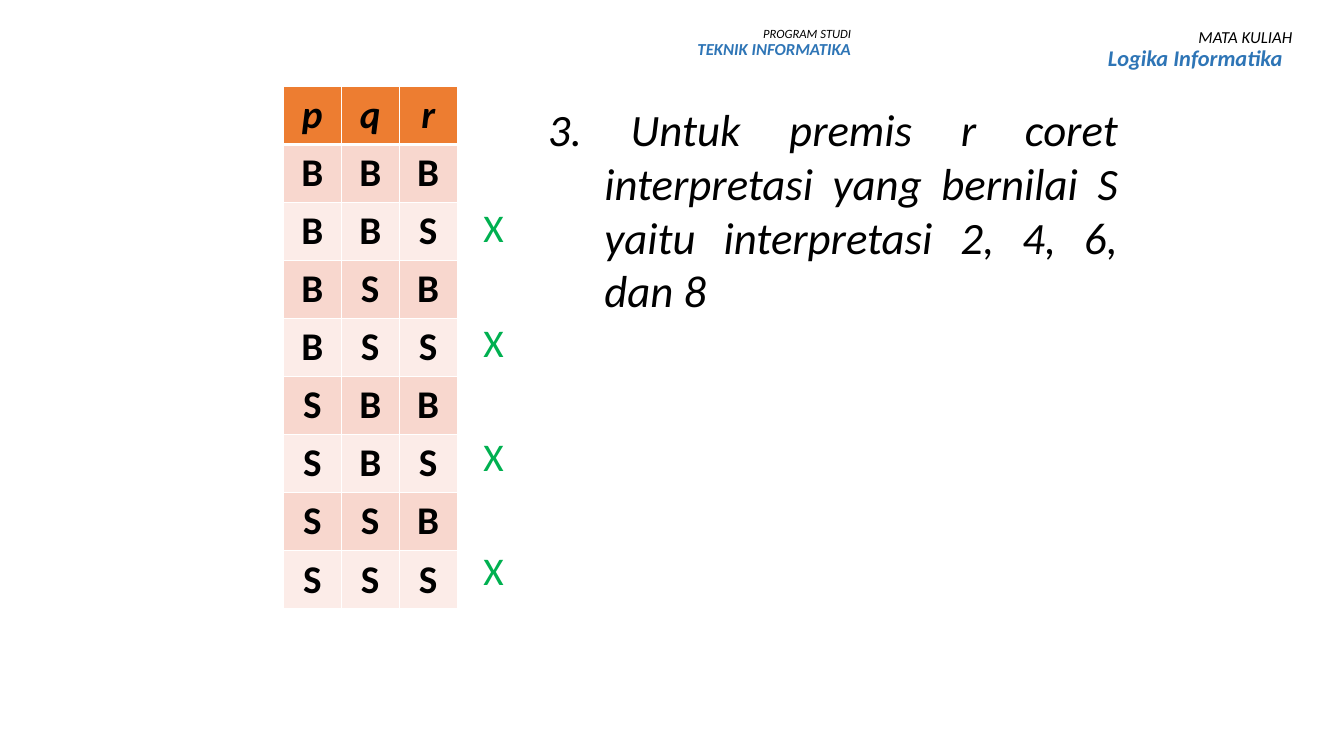
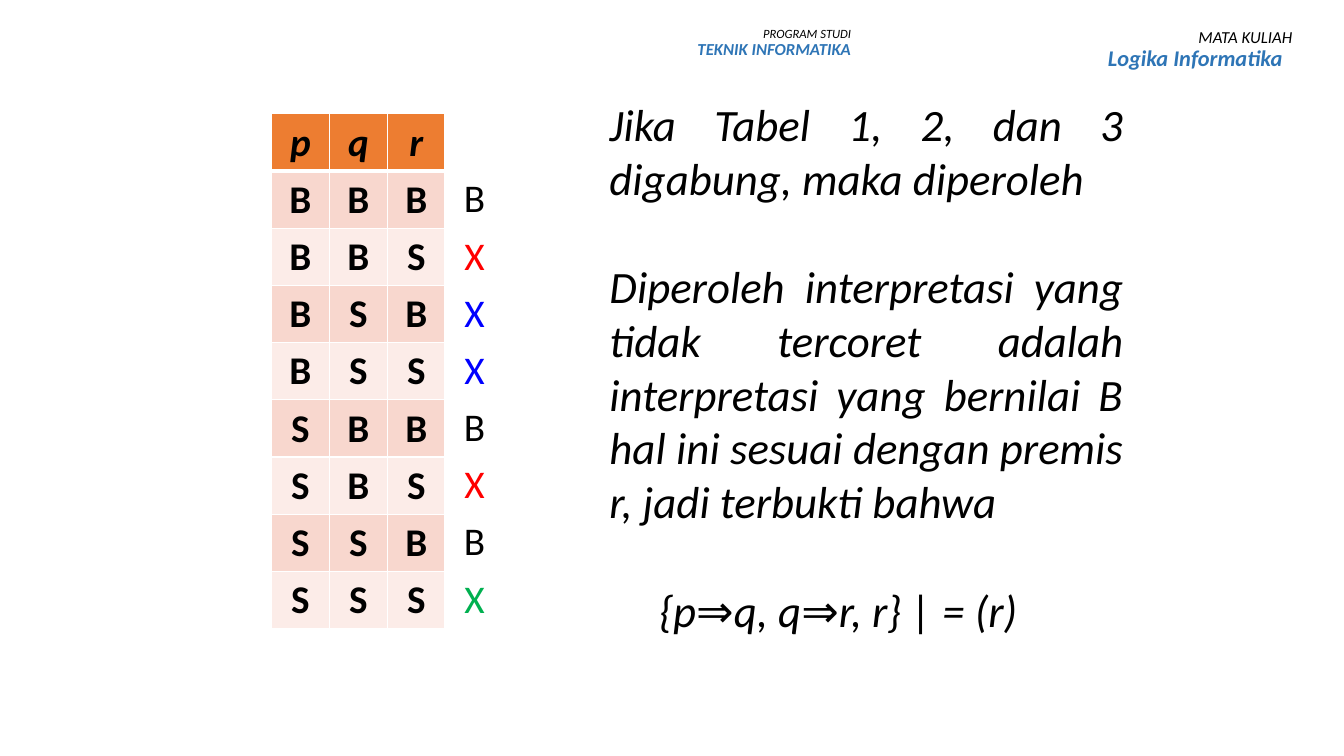
from dataclasses import dataclass
from itertools import product

from lxml import etree
from pptx import Presentation
from pptx.dml.color import RGBColor
from pptx.enum.text import MSO_ANCHOR, MSO_AUTO_SIZE, PP_ALIGN
from pptx.oxml.ns import qn
from pptx.util import Cm, Pt

LEFT, CENTER, RIGHT, JUSTIFY = PP_ALIGN.LEFT, PP_ALIGN.CENTER, PP_ALIGN.RIGHT, PP_ALIGN.JUSTIFY
MIDDLE = MSO_ANCHOR.MIDDLE
GROW, FIXED = MSO_AUTO_SIZE.SHAPE_TO_FIT_TEXT, MSO_AUTO_SIZE.NONE


@dataclass(frozen=True)
class Theme:
    font: str = "Calibri"
    text: str = "000000"
    accent: str = "2E75B6"
    header: str = "ED7D31"
    bands: tuple[str, str] = ("F8D7CE", "FCECE8")
    border: str = "FFFFFF"
    red: str = "FF0000"
    blue: str = "0000FF"
    green: str = "00B050"
    body_size: int = 32
    cell_size: int = 28


T = Theme()
HANG = 1.42
PARAGRAPH_GAP = 39
COL_W, MARK_W, ROW_H = 1.46, 1.52, 1.44
VARIABLES = "pqr"
ROWS = [tuple(VARIABLES), *product("BS", repeat=len(VARIABLES))]


@dataclass(frozen=True)
class Box:
    left: float
    top: float
    width: float
    height: float


@dataclass(frozen=True)
class Para:
    text: str
    size: int = T.body_size
    color: str = T.text
    bold: bool = False
    align: PP_ALIGN = JUSTIFY
    margin: float = 0
    indent: float = 0
    right: float = 0
    before: int = 0
    spacing: float = 1.0


@dataclass(frozen=True)
class Mark:
    text: str
    color: str


@dataclass(frozen=True)
class Page:
    table_left: float
    table_top: float
    marks_left: float
    marks: dict[int, Mark]
    body: Box
    paras: list[Para]


KEEP = Mark("B", T.text)
RED_X, BLUE_X, GREEN_X = (Mark("X", c) for c in (T.red, T.blue, T.green))

HEADERS = [
    (Box(15.32, 0.56, 6.38, 1.42), [
        Para("PROGRAM STUDI", 9, align=RIGHT, spacing=0.9),
        Para("TEKNIK INFORMATIKA", 12, T.accent, True, RIGHT, spacing=0.9)]),
    (Box(23.27, 0.61, 9.55, 1.88), [
        Para("MATA KULIAH", 12, align=RIGHT, spacing=0.9),
        Para("Logika Informatika", 16, T.accent, True, RIGHT, right=0.25, spacing=0.9)]),
]

PAGES = [
    Page(7.14, 2.18, 11.68, {row: GREEN_X for row in (2, 4, 6, 8)},
         Box(13.56, 2.44, 14.88, 5.74), [
             Para("3. Untuk premis r coret interpretasi yang bernilai S "
                  "yaitu interpretasi 2, 4, 6, dan 8", margin=HANG, indent=-HANG)]),
    Page(6.84, 2.87, 11.2,
         dict(enumerate([KEEP, RED_X, BLUE_X, BLUE_X, KEEP, RED_X, KEEP, GREEN_X], 1)),
         Box(13.69, 2.31, 14.88, 15.29), [
             Para("Jika Tabel 1, 2, dan 3 digabung, maka diperoleh", margin=HANG),
             Para("Diperoleh interpretasi yang tidak tercoret adalah interpretasi yang "
                  "bernilai B hal ini sesuai dengan premis r, jadi terbukti bahwa",
                  margin=HANG, before=PARAGRAPH_GAP),
             Para("{p⇒q, q⇒r, r} | = (r)", align=CENTER, before=PARAGRAPH_GAP)]),
]


def add_run(p, text: str, size: int, color: str, bold: bool, italic: bool) -> None:
    r = p.add_run()
    r.text = text
    f = r.font
    f.name, f.size, f.bold, f.italic = T.font, Pt(size), bold, italic
    f.color.rgb = RGBColor.from_string(color)


def add_text(s, box: Box, paras: list[Para], auto_size: MSO_AUTO_SIZE) -> None:
    tf = s.shapes.add_textbox(Cm(box.left), Cm(box.top), Cm(box.width), Cm(box.height)).text_frame
    tf.word_wrap = True
    tf.auto_size = auto_size
    for i, para in enumerate(paras):
        p = tf.add_paragraph() if i else tf.paragraphs[0]
        p.alignment = para.align
        p.line_spacing = para.spacing
        p.space_before = Pt(para.before)
        pPr = p._p.get_or_add_pPr()
        for name, length in (("marL", para.margin), ("marR", para.right), ("indent", para.indent)):
            pPr.set(name, str(int(Cm(length))))
        add_run(p, para.text, para.size, para.color, para.bold, True)


def add_grid(s, left: float, top: float, cols: int, col_width: float):
    """Add an unstyled table with one row for each truth-table row."""
    rows = len(ROWS)
    table = s.shapes.add_table(rows, cols, Cm(left), Cm(top),
                               Cm(cols * col_width), Cm(rows * ROW_H)).table
    table.first_row = table.horz_banding = False
    for column in table.columns:
        column.width = Cm(col_width)
    for row in table.rows:
        row.height = Cm(ROW_H)
    return table


def fill_cell(cell, color: str, bottom: int) -> None:
    """Set the fill and the borders, of which the bottom one has its own width."""
    tcPr = cell._tc.get_or_add_tcPr()
    for side, width in (("L", 1), ("R", 1), ("T", 1), ("B", bottom)):
        ln = etree.SubElement(tcPr, qn(f"a:ln{side}"), w=str(int(Pt(width))))
        solid = etree.SubElement(ln, qn("a:solidFill"))
        etree.SubElement(solid, qn("a:srgbClr"), val=T.border)
    cell.fill.solid()
    cell.fill.fore_color.rgb = RGBColor.from_string(color)


def write_cell(cell, text: str, color: str, bold: bool, italic: bool) -> None:
    p = cell.text_frame.paragraphs[0]
    p.alignment = CENTER
    add_run(p, text, T.cell_size, color, bold, italic)


def add_truth_table(s, left: float, top: float) -> None:
    table = add_grid(s, left, top, len(VARIABLES), COL_W)
    for i, values in enumerate(ROWS):
        is_header = i == 0
        color = T.header if is_header else T.bands[(i - 1) % 2]
        for j, value in enumerate(values):
            cell = table.cell(i, j)
            fill_cell(cell, color, 3 if is_header else 1)
            write_cell(cell, value, T.text, True, is_header)


def add_marks(s, left: float, top: float, marks: dict[int, Mark]) -> None:
    table = add_grid(s, left, top, 1, MARK_W)
    for i in range(len(ROWS)):
        cell = table.cell(i, 0)
        cell.fill.background()
        cell.margin_top = cell.margin_bottom = 0
        cell.vertical_anchor = MIDDLE
        if i in marks:
            write_cell(cell, marks[i].text, marks[i].color, False, False)


def add_page(prs, page: Page) -> None:
    s = prs.slides.add_slide(prs.slide_layouts[6])
    add_truth_table(s, page.table_left, page.table_top)
    add_text(s, page.body, page.paras, GROW)
    add_marks(s, page.marks_left, page.table_top, page.marks)
    for box, paras in HEADERS:
        add_text(s, box, paras, FIXED)


def main() -> None:
    prs = Presentation()
    prs.slide_width, prs.slide_height = Cm(33.87), Cm(19.05)
    for page in PAGES:
        add_page(prs, page)
    prs.save("out.pptx")


if __name__ == "__main__":
    main()
